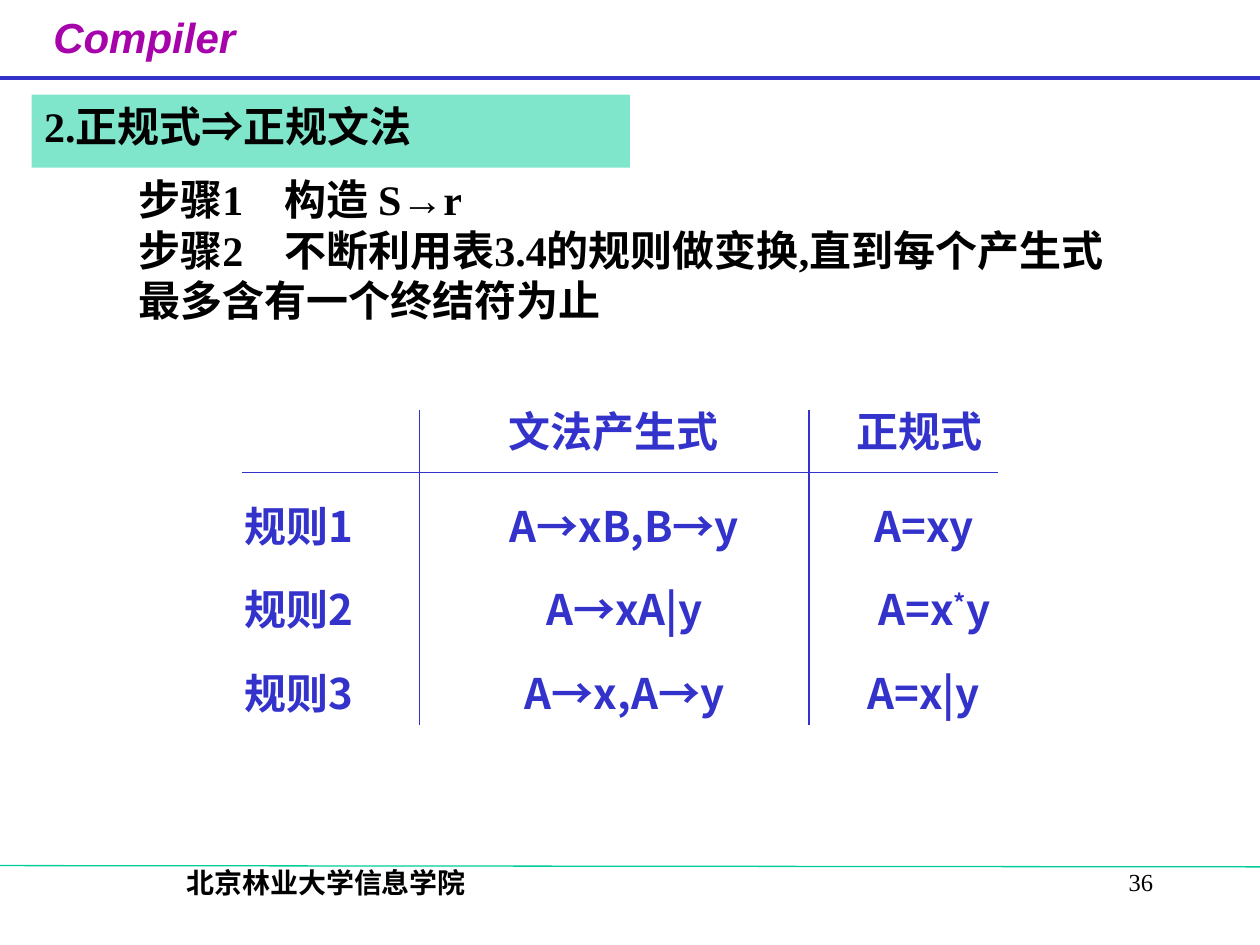
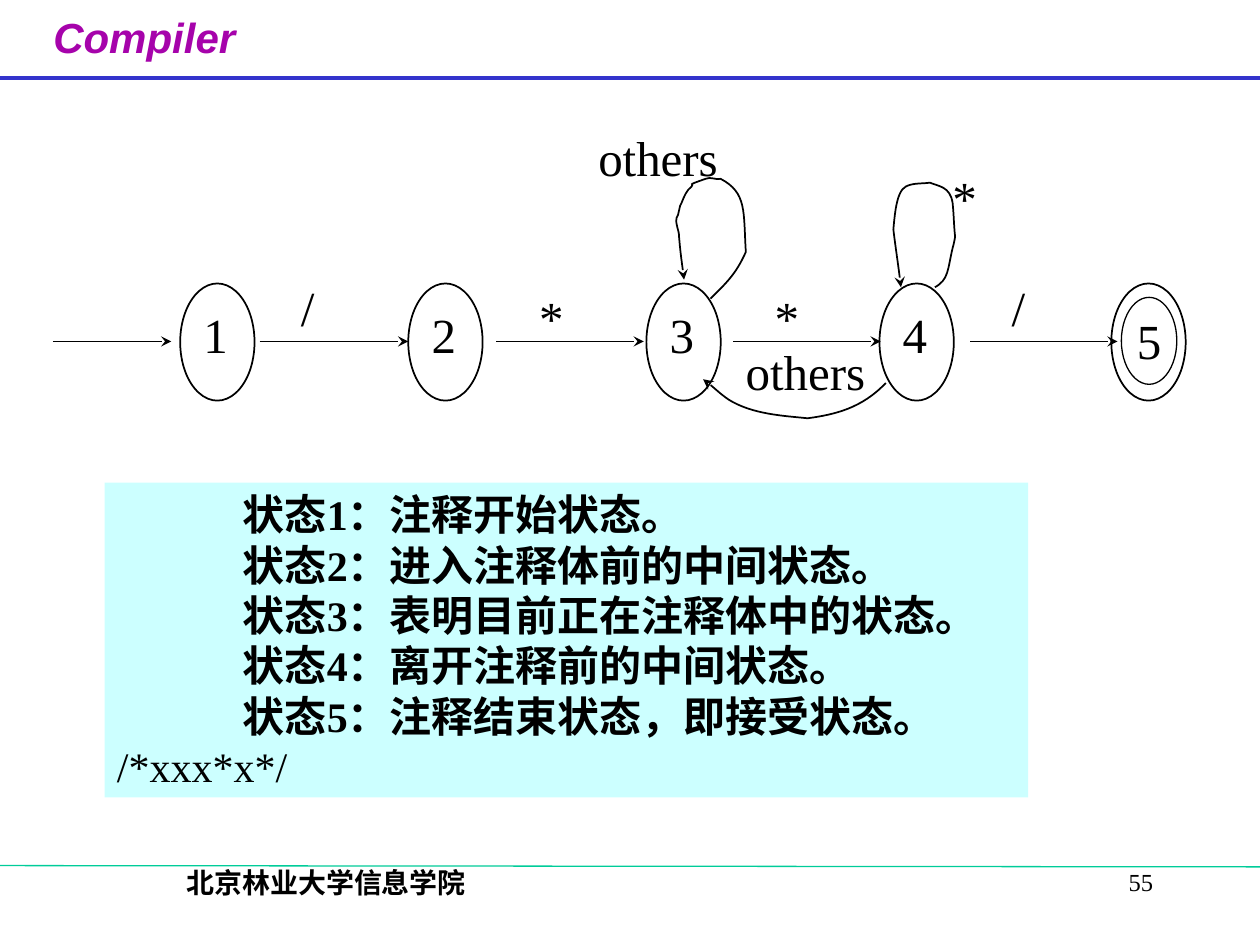
from lxml.etree import SubElement
from pptx import Presentation
from pptx.dml.color import RGBColor
from pptx.enum.shapes import MSO_CONNECTOR as CONN, MSO_SHAPE as SHAPE
from pptx.enum.text import MSO_ANCHOR as ANCHOR, MSO_AUTO_SIZE as FIT, PP_ALIGN as ALIGN
from pptx.oxml.ns import qn
from pptx.util import Inches, Pt

rgb = RGBColor.from_string
BLACK, BLUE, GREEN, PURPLE, PALE = "000000", "3333CC", "00CC99", "A603AB", "CCFFFF"
SERIF, SANS, CJK = "Times New Roman", "Arial", "Noto Sans CJK SC"


def write(tf, lines, size, color=BLACK, font=SERIF, bold=False, align=ALIGN.LEFT, inset=None):
    tf.word_wrap = True
    tf.vertical_anchor = ANCHOR.TOP
    if inset:
        tf.margin_left, tf.margin_top, tf.margin_right, tf.margin_bottom = map(Inches, inset)
    for i, line in enumerate(lines):
        p = tf.paragraphs[0] if i == 0 else tf.add_paragraph()
        p.alignment = align
        for text in [line] if isinstance(line, str) else line:
            r = p.add_run()
            r.text = text
            r.font.size = Pt(size)
            r.font.bold = bold
            r.font.color.rgb = rgb(color)
            r.font.name = font
            SubElement(r.font._element, qn("a:ea"), typeface=CJK)


def stroke(sp, color, width, arrow=False):
    sp.line.color.rgb = rgb(color)
    sp.line.width = Pt(width)
    if arrow:
        SubElement(sp.line._get_or_add_ln(), qn("a:tailEnd"), type="stealth")
    SubElement(sp._element.spPr, qn("a:effectLst"))


prs = Presentation()
prs.slide_width, prs.slide_height = Inches(10), Inches(7.5)
rules_slide = prs.slides.add_slide(prs.slide_layouts[5])
states_slide = prs.slides.add_slide(prs.slide_layouts[6])

for s, number in ((rules_slide, "36"), (states_slide, "55")):
    for y1, y2, color, width in ((0.62, 0.62, BLUE, 2.25), (6.87, 6.88, GREEN, 0.75)):
        sp = s.shapes.add_connector(CONN.STRAIGHT, *map(Inches, (0, y1, 10, y2)))
        stroke(sp, color, width)
    header = s.shapes.add_textbox(*map(Inches, (0.19, 0.04, 1.91, 0.62)))
    write(header.text_frame, ["Compiler"], 24, PURPLE, SANS, True, ALIGN.CENTER)
    header.text_frame.word_wrap = False
    header.text_frame.paragraphs[0].runs[0].font.italic = True
    footer = s.shapes.add_textbox(*map(Inches, (0.52, 6.82, 4.14, 0.5)))
    write(footer.text_frame, ["北京林业大学信息学院"], 16, bold=True, align=ALIGN.CENTER)
    page = s.shapes.add_textbox(*map(Inches, (7.17, 6.83, 2.08, 0.5)))
    write(page.text_frame, [number], 14, align=ALIGN.RIGHT)

s = rules_slide
title = s.shapes.title
title.left, title.top, title.width, title.height = map(Inches, (0.25, 0.75, 4.75, 0.58))
title.fill.solid()
title.fill.fore_color.rgb = rgb(GREEN)
SubElement(title._element.spPr.find(qn("a:solidFill"))[0], qn("a:alpha"), val="50000")
write(title.text_frame, [("2.正规式", "⇒", "正规文法")], 24, bold=True)
title.text_frame.auto_size = FIT.NONE
title.text_frame.paragraphs[0].runs[1].font.name = SANS

steps = s.shapes.add_textbox(*map(Inches, (1, 1.33, 8, 1.25)))
write(steps.text_frame, ["步骤1\t构造 S→r",
                         "步骤2\t不断利用表3.4的规则做变换,直到每个产生式最多含有一个终结符为止"], 24, bold=True)
for p in steps.text_frame.paragraphs:
    tabs = SubElement(p._p.get_or_add_pPr(), qn("a:tabLst"))
    SubElement(tabs, qn("a:tab"), pos=str(Inches(1.16)), algn="l")

rules = [
    (3.17, [("文法产生式", 3.83, 2.08), ("正规式", 6.67, 1.25)]),
    (3.92, [("规则1", 1.75, 1.25), ("A→xB,B→y", 3.83, 2.25), ("A=xy", 6.5, 1.67)]),
    (4.58, [("规则2", 1.75, 1.25), ("A→xA|y", 3.83, 2.25), (("A=x", "*", "y"), 6.5, 1.83)]),
    (5.25, [("规则3", 1.75, 1.25), ("A→x,A→y", 3.83, 2.25), ("A=x|y", 6.33, 2)]),
]
for y, row in rules:
    for text, x, w in row:
        sp = s.shapes.add_textbox(*map(Inches, (x, y, w, 0.5)))
        write(sp.text_frame, [text], 24, BLUE, CJK, True, ALIGN.CENTER)
        for r in sp.text_frame.paragraphs[0].runs:
            if r.text == "*":
                r.font._element.set("baseline", "30000")
for ends in ((1.92, 3.75, 7.92, 3.75), (3.33, 3.25, 3.33, 5.75), (6.42, 3.25, 6.42, 5.75)):
    sp = s.shapes.add_connector(CONN.STRAIGHT, *map(Inches, ends))
    stroke(sp, BLUE, 0.75)

s = states_slide
STATE_INSET = (0.1, 0.03, 0.1, 0.05)
states = [(name, x, 2.25, 0.59, 0.93, 1, STATE_INSET)
          for name, x in (("1", 1.43), ("2", 3.24), ("3", 5.13), ("4", 6.98), ("", 8.82))]
states.append(("5", 8.9, 2.36, 0.44, 0.69, 0.75, (0.06, 0, 0.04, 0)))
for name, x, y, w, h, width, inset in states:
    sp = s.shapes.add_shape(SHAPE.OVAL, *map(Inches, (x, y, w, h)))
    sp.fill.background()
    stroke(sp, BLACK, width)
    if name:
        write(sp.text_frame, [name], 28, inset=inset)

for x1, x2 in ((0.42, 1.36), (2.06, 3.24), (3.94, 5.11), (5.82, 6.99), (7.7, 8.87)):
    sp = s.shapes.add_connector(CONN.STRAIGHT, *map(Inches, (x1, 2.71, x2, 2.71)))
    stroke(sp, BLACK, 1, arrow=True)

back_to_3 = [(7.03, 3.04), (6.84, 3.24), (6.63, 3.29), (6.41, 3.32), (6.22, 3.3),
             (5.97, 3.29), (5.78, 3.17), (5.71, 3.12), (5.65, 3.06), (5.58, 3.01)]
loop_on_4 = [(7.42, 2.28), (7.53, 2.22), (7.52, 2.14), (7.56, 1.97), (7.57, 1.94),
             (7.58, 1.88), (7.58, 1.88), (7.57, 1.79), (7.57, 1.7), (7.56, 1.61),
             (7.54, 1.48), (7.45, 1.48), (7.38, 1.45), (7.32, 1.46), (7.25, 1.45),
             (7.19, 1.48), (7.11, 1.52), (7.1, 1.73), (7.09, 1.82), (7.1, 1.91),
             (7.14, 2.18), (7.15, 2.28)]
loop_on_3 = [(5.64, 2.37), (5.76, 2.25), (5.84, 2.18), (5.92, 2), (5.9, 1.68),
             (5.93, 1.53), (5.72, 1.42), (5.68, 1.43), (5.64, 1.4), (5.6, 1.42),
             (5.43, 1.48), (5.52, 1.45), (5.49, 1.48), (5.45, 1.51), (5.43, 1.56),
             (5.41, 1.61), (5.39, 1.63), (5.39, 1.71), (5.37, 1.73), (5.36, 1.79),
             (5.39, 1.82), (5.39, 1.88), (5.4, 2), (5.43, 2.22), (5.43, 2.22)]
for curve in (back_to_3, loop_on_4, loop_on_3):
    builder = s.shapes.build_freeform(*map(Inches, curve[0]))
    builder.add_line_segments([tuple(map(Inches, point)) for point in curve[1:]], close=False)
    sp = builder.convert_to_shape()
    outline = next(sp._element.iter(qn("a:path")))
    segments = outline.findall(qn("a:lnTo"))
    for k in range(0, len(segments), 3):
        bezier = SubElement(outline, qn("a:cubicBezTo"))
        for segment in segments[k:k + 3]:
            bezier.append(segment[0])
            outline.remove(segment)
    sp.fill.background()
    stroke(sp, BLACK, 1, arrow=True)

labels = [("others", 4.65, 1, 1.17), ("others", 5.82, 2.7, 1.17), ("/", 2.29, 2.19, 0.7),
          ("*", 4.18, 2.27, 0.7), ("*", 6.05, 2.27, 0.7), ("*", 7.46, 1.32, 0.7),
          ("/", 7.93, 2.19, 0.7)]
for text, x, y, w in labels:
    sp = s.shapes.add_textbox(*map(Inches, (x, y, w, 0.64)))
    write(sp.text_frame, [text], 28, inset=(0.1, 0.01, 0.1, 0.05))

notes = s.shapes.add_shape(SHAPE.RECTANGLE, *map(Inches, (0.83, 3.83, 7.33, 2.5)))
notes.shadow.inherit = False
notes.fill.solid()
notes.fill.fore_color.rgb = rgb(PALE)
notes.line.fill.background()
write(notes.text_frame, [
    "状态1：注释开始状态。",
    "状态2：进入注释体前的中间状态。",
    "状态3：表明目前正在注释体中的状态。",
    "状态4：离开注释前的中间状态。",
    "状态5：注释结束状态，即接受状态。",
    "/*xxx*x*/",
], 24, bold=True)
*meanings, example = notes.text_frame.paragraphs
for p in meanings:
    p._p.get_or_add_pPr().set("marL", str(Inches(1)))
example.runs[0].font.bold = False

prs.save("out.pptx")
